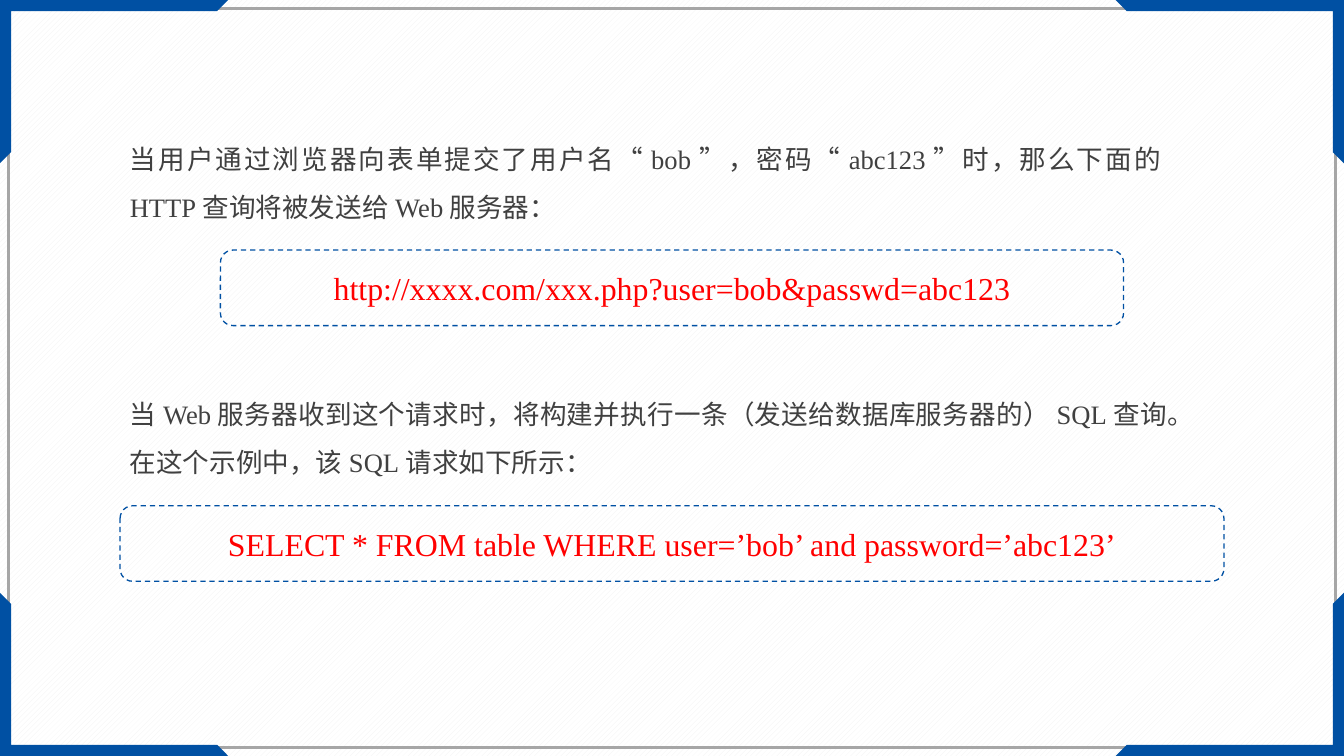
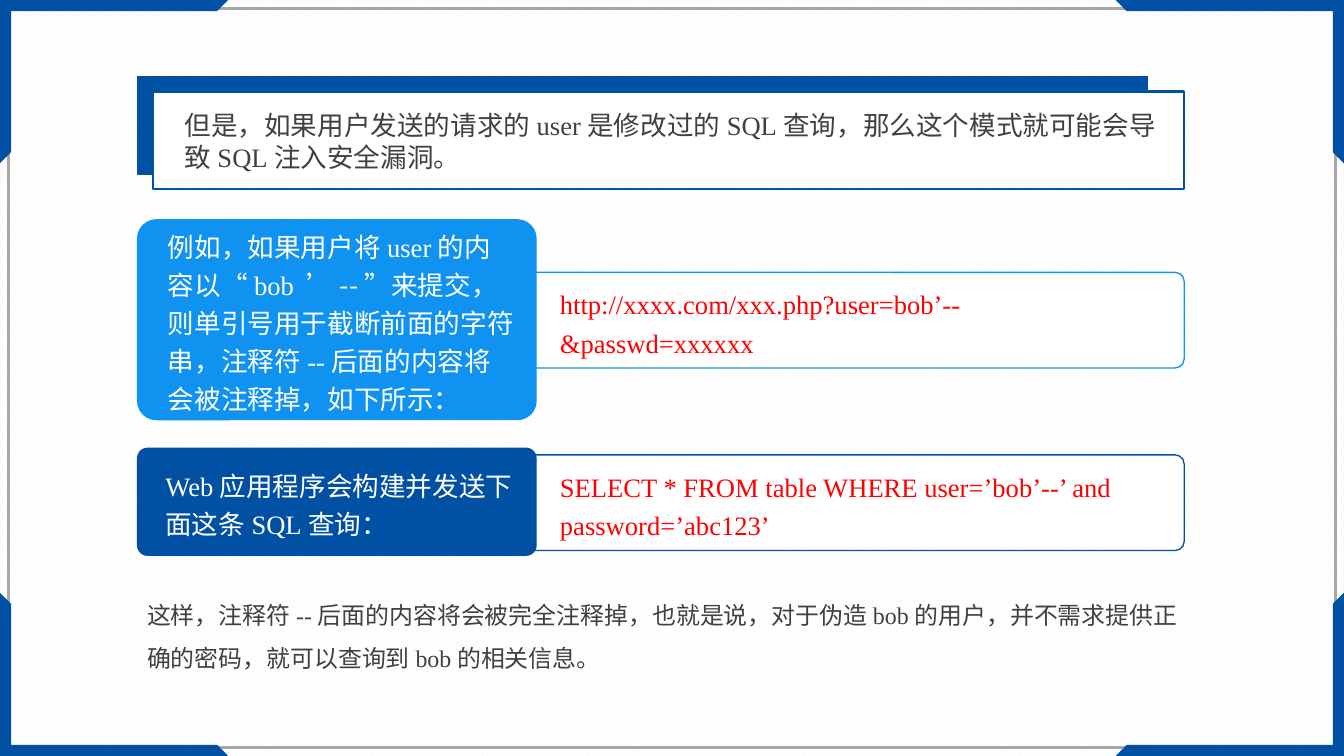
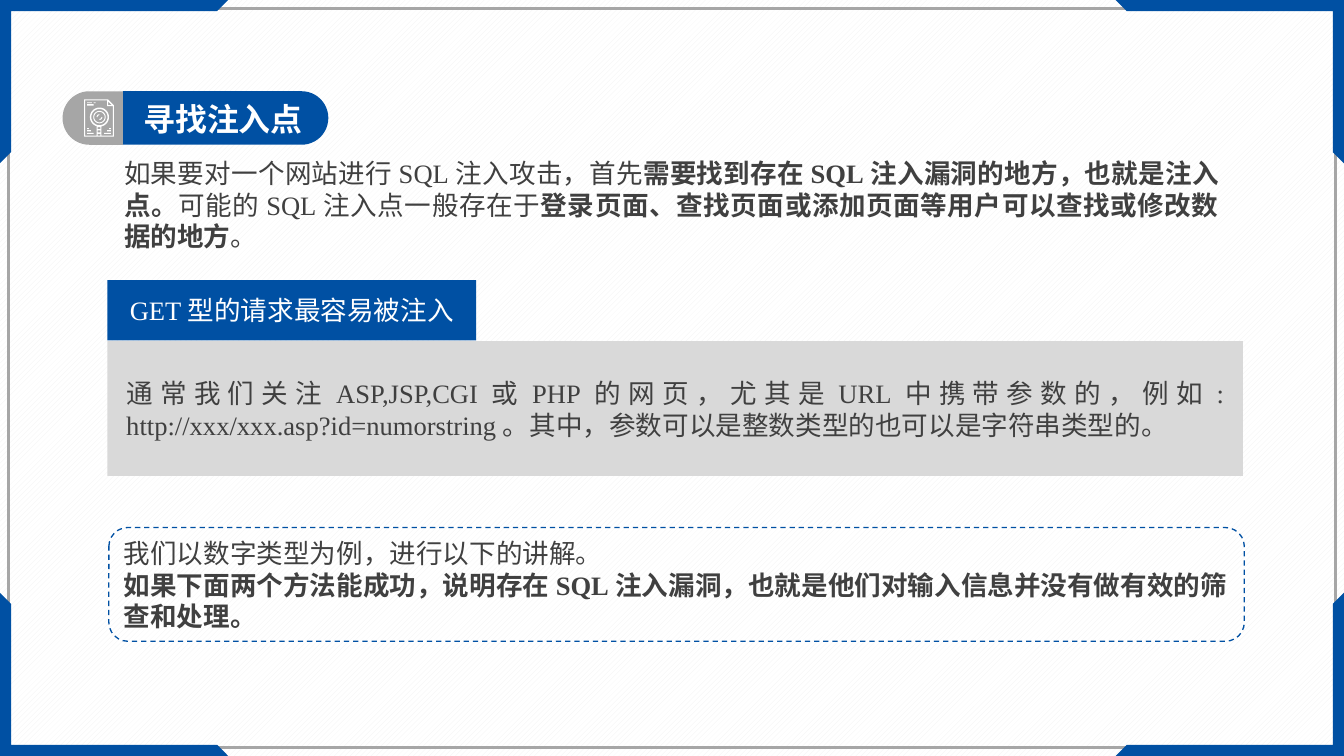
from dataclasses import dataclass
from math import cos, pi, sin
from typing import Any, NamedTuple, Optional

from lxml import etree
from pptx import Presentation
from pptx.dml.color import RGBColor
from pptx.enum.dml import MSO_LINE, MSO_PATTERN
from pptx.enum.shapes import MSO_SHAPE as SHAPE
from pptx.enum.text import MSO_ANCHOR as ANCHOR, MSO_AUTO_SIZE as AUTO, PP_ALIGN as ALIGN
from pptx.oxml.ns import qn
from pptx.util import Pt

BLUE = RGBColor(0x00, 0x50, 0xA3)
SKY = RGBColor(0x10, 0x92, 0xF1)
RED = RGBColor(0xFF, 0x00, 0x00)
INK = RGBColor(0x40, 0x40, 0x40)
GREY = RGBColor(0xA6, 0xA6, 0xA6)
PALE = RGBColor(0xD9, 0xD9, 0xD9)
HATCH = RGBColor(0xF2, 0xF2, 0xF2)
WHITE = RGBColor(0xFF, 0xFF, 0xFF)

LATIN = "Times New Roman"
CJK = "Noto Sans CJK SC"
WIDTH, HEIGHT = 1012.5, 569.5
TITLE_ONLY, BLANK = 5, 6
INSETS = (7.2, 3.6, 7.2, 3.6)

Point = tuple[float, float]


class Box(NamedTuple):
    left: float
    top: float
    width: float
    height: float

    def emu(self) -> list[int]:
        return [Pt(v) for v in self]


class Run(NamedTuple):
    text: str
    bold: bool = False
    font: str = LATIN


Paragraphs = list[list[Run]]


@dataclass(frozen=True)
class TextStyle:
    size: float = 20
    color: RGBColor = INK
    align: ALIGN = ALIGN.LEFT
    spacing: float = 1.0
    anchor: ANCHOR = ANCHOR.TOP
    insets: tuple[float, float, float, float] = INSETS


@dataclass(frozen=True)
class Look:
    fill: Optional[RGBColor] = None
    line: Optional[RGBColor] = None
    weight: float = 1
    dashed: bool = False


@dataclass(frozen=True)
class Step:
    """A coloured explanation card with its query in the box to the right."""
    color: RGBColor
    card: Box
    query_top: float
    label: list[Run]
    query: str


BODY = TextStyle(align=ALIGN.JUSTIFY)
SPACED = TextStyle(align=ALIGN.JUSTIFY, spacing=1.5)
CODE = TextStyle(24, RED, ALIGN.CENTER, anchor=ANCHOR.MIDDLE)
CARD = TextStyle(color=WHITE, spacing=1.2, anchor=ANCHOR.MIDDLE, insets=(18.7, 3.6, 10, 3.6))
QUERY = TextStyle(color=RED, spacing=1.2, anchor=ANCHOR.MIDDLE, insets=(26.8, 3.6, 34.5, 3.6))
DASHED = Look(line=BLUE, dashed=True)

STEPS = [
    Step(SKY, Box(103.7, 165.6, 300.2, 150.5), 205.2,
         [Run("例如，如果用户将user的内容以“bob "), Run("’--”", font=CJK),
          Run("来提交，则单引号用于截断前面的字符串，注释符--后面的内容将会被注释掉，如下所示：")],
         "http://xxxx.com/xxx.php?user=bob’--&passwd=xxxxxx"),
    Step(BLUE, Box(103.7, 337.7, 300.2, 80.6), 342.7,
         [Run("Web应用程序会构建并发送下面这条SQL查询：")],
         "SELECT * FROM table WHERE user=’bob’--’ and password=’abc123’"),
]


def apply(target: Any, formats: dict[str, Any]) -> None:
    for name, value in formats.items():
        setattr(target, name, value)


def write(sp: Any, paragraphs: Paragraphs, style: TextStyle) -> None:
    tf = sp.text_frame
    left, top, right, bottom = (Pt(v) for v in style.insets)
    apply(tf, {"word_wrap": True, "auto_size": AUTO.NONE, "vertical_anchor": style.anchor,
               "margin_left": left, "margin_top": top,
               "margin_right": right, "margin_bottom": bottom})
    for i, runs in enumerate(paragraphs):
        p = tf.add_paragraph() if i else tf.paragraphs[0]
        apply(p, {"alignment": style.align, "line_spacing": style.spacing,
                  "space_before": Pt(0), "space_after": Pt(0)})
        for run in runs:
            r = p.add_run()
            r.text = run.text
            apply(r.font, {"name": run.font, "size": Pt(style.size), "bold": run.bold})
            r.font.color.rgb = style.color
            etree.SubElement(r.font._element, qn("a:ea")).set("typeface", CJK)


def paint(sp: Any, look: Look) -> None:
    sp.shadow.inherit = False
    if look.fill is None:
        sp.fill.background()
    else:
        sp.fill.solid()
        sp.fill.fore_color.rgb = look.fill
    if look.line is None:
        sp.line.fill.background()
        return
    sp.line.color.rgb = look.line
    sp.line.width = Pt(look.weight)
    if look.dashed:
        sp.line.dash_style = MSO_LINE.DASH


def add_panel(slide: Any, kind: SHAPE, box: Box, look: Look,
              adjustments: tuple[float, ...] = ()) -> Any:
    sp = slide.shapes.add_shape(kind, *box.emu())
    for i, value in enumerate(adjustments):
        sp.adjustments[i] = value
    paint(sp, look)
    return sp


def add_text(slide: Any, box: Box, paragraphs: Paragraphs, style: TextStyle) -> None:
    write(slide.shapes.add_textbox(*box.emu()), paragraphs, style)


def add_title(slide: Any, box: Box, text: Run, style: TextStyle) -> None:
    """Fill the title placeholder and bring it in front of its panels."""
    sp = slide.shapes.title
    left, top, width, height = box.emu()
    apply(sp, {"left": left, "top": top, "width": width, "height": height})
    write(sp, [[text]], style)
    slide.shapes.element.append(sp.element)


def add_outline(slide: Any, contours: list[list[Point]], fill: RGBColor) -> Any:
    """Draw closed contours as one shape; nested contours alternate as holes."""
    paths = [[(Pt(x), Pt(y)) for x, y in contour] for contour in contours]
    builder = slide.shapes.build_freeform(*paths[0][0], scale=1.0)
    for i, (start, *rest) in enumerate(paths):
        if i:
            builder.move_to(*start)
        builder.add_line_segments(rest, close=True)
    sp = builder.convert_to_shape()
    paint(sp, Look(fill))
    return sp


def move_to_master(prs: Any, shapes: list[Any]) -> None:
    for i, sp in enumerate(shapes):
        sp.element.nvSpPr.cNvPr.id = 100 + i
        prs.slide_master.shapes.element.append(sp.element)


def build_master(prs: Any, slide: Any) -> None:
    """Give every slide the hatched background, thin frame and four corners."""
    fill = prs.slide_master.background.fill
    fill.patterned()
    fill.pattern = MSO_PATTERN.WIDE_UPWARD_DIAGONAL
    fill.fore_color.rgb = HATCH
    fill.back_color.rgb = WHITE

    inset, arm, leg, thick = 6.3, 172, 123, 8.4
    frame = Box(inset, inset, WIDTH - 2 * inset, HEIGHT - 2 * inset)
    shapes = [add_panel(slide, SHAPE.RECTANGLE, frame, Look(line=GREY, weight=2))]
    corner = [(0, 0), (arm, 0), (arm - thick, thick), (thick, thick),
              (thick, leg - thick), (0, leg)]
    for x0 in (0, WIDTH):
        for y0 in (0, HEIGHT):
            mirrored = [(abs(x0 - x), abs(y0 - y)) for x, y in corner]
            shapes.append(add_outline(slide, [mirrored], BLUE))
    move_to_master(prs, shapes)


def rectangle(x: float, y: float, w: float, h: float) -> list[Point]:
    return [(x, y), (x + w, y), (x + w, y + h), (x, y + h)]


def arc(radius: float, start: float = 0, sweep: float = 2 * pi, steps: int = 32) -> list[Point]:
    """Points on a circle around the centre of the magnifier lens."""
    angles = [start + sweep * i / steps for i in range(steps + 1)]
    return [(16 + radius * cos(a), 18.5 + radius * sin(a)) for a in angles]


def add_search_icon(slide: Any, left: float, top: float) -> None:
    """Draw a page with a magnifier on a grid of 31 by 39 units."""
    unit = 0.72
    page = [(0, 0), (25, 0), (31, 6), (31, 39), (0, 39)]
    inside = [(1, 1), (24, 1), (24, 7), (30, 7), (30, 38), (1, 38)]
    fold = [(25, 2), (25, 6), (29, 6)]
    lens = [arc(radius) for radius in (10, 8.5, 6.5, 5.5)]
    glints = [arc(3, a, pi / 2) + arc(2, a + pi / 2, -pi / 2) for a in (0, pi)]
    handle = [rectangle(13, 28.4, 5, 9.6)] + [rectangle(14, y, 3, 2) for y in (29, 32.5, 36)]
    bars = [rectangle(*bar) for bar in (
        (10, 3, 2, 1), (3, 3, 5, 1), (3, 5, 7, 1.5),
        (3, 30, 2, 1), (3, 32, 4, 1.5), (3, 35, 7, 1),
        (26, 30, 2, 1), (24, 32, 4, 1.5), (21, 35, 7, 1))]
    contours = [page, inside, fold, *lens, *glints, *handle, *bars]
    add_outline(slide, [[(left + x * unit, top + y * unit) for x, y in c] for c in contours], WHITE)


def build_normal_query(slide: Any) -> None:
    add_text(slide, Box(90.7, 92.2, 795.6, 75.6), [[
        Run("当用户通过浏览器向表单提交了用户名“bob"), Run("”", font=CJK),
        Run("，密码“abc123"), Run("”", font=CJK),
        Run("时，那么下面的HTTP查询将被发送给Web服务器：")]], SPACED)
    add_text(slide, Box(90.7, 284.4, 795.6, 75.6), [[
        Run("当Web服务器收到这个请求时，将构建并执行一条（发送给数据库服务器的）SQL查询。"
            "在这个示例中，该SQL请求如下所示：")]], SPACED)
    for top, width, code in (
            (188.4, 680.4, "http://xxxx.com/xxx.php?user=bob&passwd=abc123"),
            (381, 831.6, "SELECT * FROM table WHERE user=’bob’ and password=’abc123’")):
        box = Box((WIDTH - width) / 2, top, width, 56.9)
        write(add_panel(slide, SHAPE.ROUNDED_RECTANGLE, box, DASHED), [[Run(code)]], CODE)


def build_injected_query(slide: Any) -> None:
    add_panel(slide, SHAPE.RECTANGLE, Box(103.7, 57.6, 761, 73.4), Look(BLUE, BLUE))
    add_panel(slide, SHAPE.RECTANGLE, Box(115.2, 69.1, 776.9, 73.4), Look(WHITE, BLUE, 2))
    add_title(slide, Box(131.8, 78.5, 748.8, 55.4), Run(
        "但是，如果用户发送的请求的user是修改过的SQL查询，"
        "那么这个模式就可能会导致SQL注入安全漏洞。"), TextStyle())
    for step in STEPS:
        query_box = Box(393.1, step.query_top, 499, 72)
        for box, look, runs, style in (
                (query_box, Look(WHITE, step.color), [Run(step.query)], QUERY),
                (step.card, Look(step.color, step.color), step.label, CARD)):
            sp = add_panel(slide, SHAPE.ROUNDED_RECTANGLE, box, look, (0.094,))
            write(sp, [runs], style)
    add_text(slide, Box(103.7, 438.5, 799.2, 69.1), [[
        Run("这样，注释符--后面的内容将会被完全注释掉，也就是说，对于伪造bob的用户，"
            "并不需求提供正确的密码，就可以查询到bob的相关信息。")]], TextStyle(18, spacing=1.5))


def build_injection_point(slide: Any) -> None:
    add_text(slide, Box(86.4, 114.5, 838.8, 79.9), [[
        Run("如果要对一个网站进行SQL注入攻击，首先"),
        Run("需要找到存在SQL注入漏洞的地方，也就是注入点。", True),
        Run("可能的SQL注入点一般存在于"),
        Run("登录页面、查找页面或添加页面等用户可以查找或修改数据的地方", True),
        Run("。")]], BODY)

    for box, color, rotation in ((Box(149.8, 11.5, 40.3, 154.8), BLUE, 90),
                                 (Box(49.7, 66.2, 40.3, 45.4), GREY, 270)):
        sp = add_panel(slide, SHAPE.ROUND_2_SAME_RECTANGLE, box, Look(color), (0.5, 0))
        sp.rotation = rotation
    add_title(slide, Box(97.2, 69.1, 154.8, 40.3), Run("寻找注入点", True),
              TextStyle(24, WHITE, insets=(10.8, 5.8, 10.8, 5.8)))
    add_search_icon(slide, 63.4, 74.9)

    for kind, box, look, paragraphs, style in (
            (SHAPE.RECTANGLE, Box(80.9, 257, 855.4, 101.5), Look(PALE), [[
                Run("通常我们关注ASP,JSP,CGI或PHP的网页，尤其是URL中携带参数的，例如: "
                    "http://xxx/xxx.asp?id=numorstring。"
                    "其中，参数可以是整数类型的也可以是字符串类型的。")]],
             TextStyle(align=ALIGN.JUSTIFY, anchor=ANCHOR.MIDDLE, insets=(14.2, 3.6, 14.2, 3.6))),
            (SHAPE.RECTANGLE, Box(80.9, 211, 277.9, 45.4), Look(BLUE),
             [[Run("GET型的请求最容易被注入")]],
             TextStyle(color=WHITE, align=ALIGN.CENTER, anchor=ANCHOR.MIDDLE)),
            (SHAPE.ROUNDED_RECTANGLE, Box(82, 397.4, 855.4, 85.7), DASHED,
             [[Run("我们以数字类型为例，进行以下的讲解。")],
              [Run("如果下面两个方法能成功，说明存在SQL注入漏洞，"
                   "也就是他们对输入信息并没有做有效的筛查和处理。", True)]],
             TextStyle(anchor=ANCHOR.MIDDLE))):
        write(add_panel(slide, kind, box, look), paragraphs, style)


def main() -> None:
    prs = Presentation()
    prs.slide_width, prs.slide_height = Pt(WIDTH), Pt(HEIGHT)
    for i, (layout, build) in enumerate(((BLANK, build_normal_query),
                                         (TITLE_ONLY, build_injected_query),
                                         (TITLE_ONLY, build_injection_point))):
        slide = prs.slides.add_slide(prs.slide_layouts[layout])
        if i == 0:
            build_master(prs, slide)
        build(slide)
    prs.save("out.pptx")


if __name__ == "__main__":
    main()
